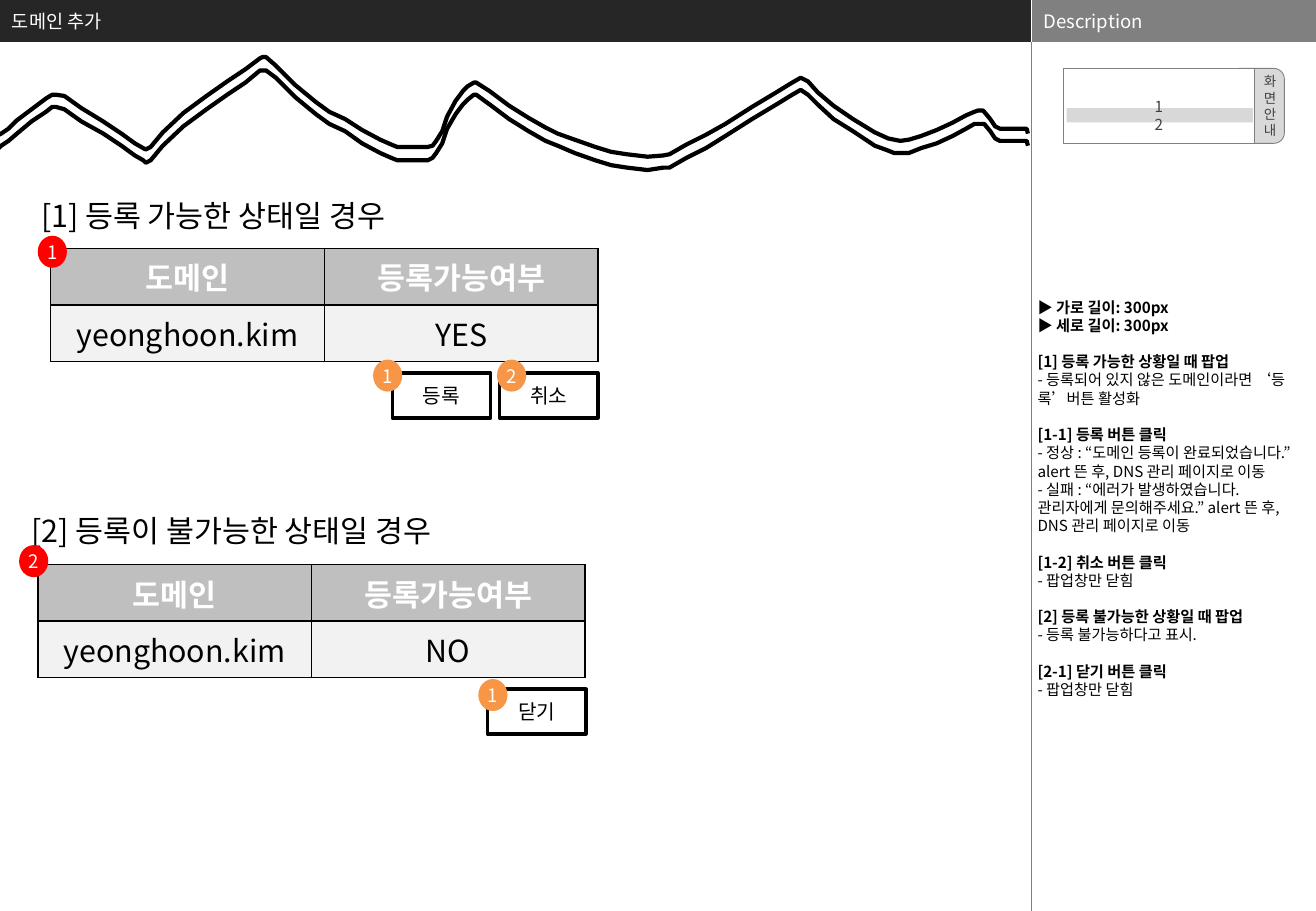
from pptx import Presentation
from pptx import util as u
from pptx.dml.color import RGBColor
from pptx.enum import shapes, text
from pptx.oxml.ns import qn
from lxml import etree

FONT = "Noto Sans CJK KR"
BLACK = RGBColor(0, 0, 0)
WHITE = RGBColor(0xFF, 0xFF, 0xFF)
DARK = RGBColor(0x26, 0x26, 0x26)
INK = RGBColor(0x40, 0x40, 0x40)
GRAY = RGBColor(0x80, 0x80, 0x80)
SILVER = RGBColor(0xBF, 0xBF, 0xBF)
LIGHT = RGBColor(0xD9, 0xD9, 0xD9)
PALE = RGBColor(0xF2, 0xF2, 0xF2)
RED = RGBColor(0xFF, 0, 0)
ORANGE = RGBColor(0xF7, 0x96, 0x46)
RECT = shapes.MSO_SHAPE.RECTANGLE
OVAL = shapes.MSO_SHAPE.OVAL
LEFT, MID, RIGHT = text.PP_ALIGN.LEFT, text.PP_ALIGN.CENTER, text.PP_ALIGN.RIGHT
CENTER = text.MSO_ANCHOR.MIDDLE

prs = Presentation()
prs.slide_width, prs.slide_height = u.Cm(27.51), u.Cm(19.05)
slide = prs.slides.add_slide(prs.slide_layouts[6])
items = slide.shapes


def box(kind, x, y, w, h, fill=None, line=None, width=0.5):
    shape = items.add_shape(kind, u.Cm(x), u.Cm(y), u.Cm(w), u.Cm(h))
    shape.shadow.inherit = False
    if fill is None:
        shape.fill.background()
    else:
        shape.fill.solid()
        shape.fill.fore_color.rgb = fill
    if line is None:
        shape.line.fill.background()
    else:
        shape.line.color.rgb = line
        shape.line.width = u.Pt(width)
    return shape


def write(frame, rows, size, color, align=LEFT, bold=False, pitch=None, pads=None, wrap=True):
    frame.word_wrap = wrap
    if pads:
        (frame.margin_left, frame.margin_top,
         frame.margin_right, frame.margin_bottom) = [u.Cm(pad) for pad in pads]
    for i, row in enumerate(rows):
        para = frame.paragraphs[0] if i == 0 else frame.add_paragraph()
        para.alignment = align
        if pitch:
            para.line_spacing = u.Pt(pitch)
        run = para.add_run()
        run.text = row
        run.font.size = u.Pt(size)
        run.font.bold = bold
        run.font.color.rgb = color
        run.font.name = FONT
        etree.SubElement(run.font._element, qn("a:ea")).set("typeface", FONT)


SIDE = 21.56
for x, w, fill, label in [(0, SIDE, DARK, "도메인 추가"), (SIDE, 5.95, GRAY, "Description")]:
    bar = box(RECT, x, 0, w, 0.88, fill)
    bar.text_frame.vertical_anchor = CENTER
    write(bar.text_frame, [label], 11, WHITE)

for top, end, color in [(0, 0.88, WHITE), (0.88, 19.05, GRAY)]:
    rule = items.add_connector(shapes.MSO_CONNECTOR.STRAIGHT,
                               u.Cm(SIDE), u.Cm(top), u.Cm(SIDE), u.Cm(end))
    rule.line.color.rgb = color
    rule.line.width = u.Pt(0.25)
    etree.SubElement(rule._element.spPr, qn("a:effectLst"))

notes = [
    ("[1] 등록 가능한 상황일 때 팝업", ["- 등록되어 있지 않은 도메인이라면 ‘등록’버튼 활성화"]),
    ("[1-1] 등록 버튼 클릭", [
        "- 정상 : “도메인 등록이 완료되었습니다.” alert 뜬 후, DNS 관리 페이지로 이동",
        "- 실패 : “에러가 발생하였습니다. 관리자에게 문의해주세요.” alert 뜬 후, DNS 관리 페이지로 이동"]),
    ("[1-2] 취소 버튼 클릭", ["- 팝업창만 닫힘"]),
    ("[2] 등록 불가능한 상황일 때 팝업", ["- 등록 불가능하다고 표시."]),
    ("[2-1] 닫기 버튼 클릭", ["- 팝업창만 닫힘"]),
]
rows = ["▶ 가로 길이: 300px", "▶ 세로 길이: 300px"]
heads = []
for head, lines in notes:
    heads.append(len(rows))
    rows += [head] + lines
guide = items.add_textbox(u.Cm(21.59), u.Cm(6.23), u.Cm(5.92), u.Cm(12.8)).text_frame
write(guide, rows, 9, BLACK, pitch=10.8, pads=(0.1, 0, 0.1, 0))
for i, para in enumerate(guide.paragraphs):
    para.runs[0].font.bold = i < 2 or i in heads
    if i in heads:
        para.space_before = u.Pt(10.8)

WAVE = [
    (-1, 111), (1, 110), (7, 106), (14, 99), (26, 90), (38, 81), (43, 78), (46, 78),
    (53, 79), (67, 89), (85, 100), (100, 110), (111, 118), (118, 122), (120, 123),
    (124, 121), (134, 109), (151, 93), (170, 79), (187, 67), (202, 57), (214, 48),
    (216, 47), (219, 47), (227, 54), (243, 70), (260, 84), (271, 92), (284, 98),
    (298, 107), (313, 115), (322, 119), (327, 121), (352, 121), (356, 120), (359, 116),
    (364, 108), (368, 96), (375, 83), (381, 75), (385, 71), (390, 68), (392, 68),
    (403, 75), (419, 87), (435, 97), (449, 105), (459, 110), (473, 115), (490, 121),
    (503, 125), (516, 127), (533, 129), (546, 128), (551, 127), (565, 119), (581, 111),
    (597, 102), (619, 88), (639, 76), (652, 68), (659, 64), (665, 67), (673, 76),
    (686, 87), (702, 98), (720, 109), (731, 114), (736, 115), (741, 116), (748, 115),
    (758, 112), (771, 107), (784, 101), (795, 95), (802, 92), (805, 91), (809, 91),
    (810, 92), (815, 98), (819, 104), (823, 106), (831, 106), (845, 106), (846, 110),
]
for drop in (10.5, 0):
    pts = [(x, y + drop) for x, y in WAVE]
    pen = items.build_freeform(*pts[0], scale=u.Cm(2.54) / 100)
    pen.add_line_segments(pts[1:], close=False)
    wave = pen.convert_to_shape()
    wave.shadow.inherit = False
    wave.fill.background()
    wave.line.color.rgb = BLACK
    wave.line.width = u.Pt(2.5)

tab = box(shapes.MSO_SHAPE.ROUNDED_RECTANGLE, 25.68, 1.43, 1.17, 1.57, LIGHT, GRAY)
tab.adjustments[0] = 0.19
tab.text_frame.vertical_anchor = CENTER
write(tab.text_frame, "화면안내", 8, INK, RIGHT, pitch=9.6, pads=(0, 0, 0.1, 0), wrap=False)
panel = box(RECT, 22.23, 1.43, 3.99, 1.57, WHITE, GRAY)
panel.text_frame.vertical_anchor = CENTER
write(panel.text_frame, "12", 9, INK, MID, pitch=10.8, pads=(0.1, 0.5, 0.1, 0.1), wrap=False)
band = box(RECT, 22.3, 2.26, 3.89, 0.3, INK)
tint = band.fill._xPr.find(qn("a:solidFill"))[0]
etree.SubElement(tint, qn("a:alpha")).set("val", "20000")

cases = [
    (1.06, 5.2, "YES", [(8.2, "등록"), (10.44, "취소")]),
    (0.79, 11.81, "NO", [(10.19, "닫기")]),
]
for left, top, state, keys in cases:
    grid = items.add_table(2, 2, u.Cm(left), u.Cm(top), u.Cm(11.44), u.Cm(2.36)).table
    for i, row in enumerate([("도메인", "등록가능여부"), ("yeonghoon.kim", state)]):
        grid.rows[i].height = u.Cm(1.18)
        grid.columns[i].width = u.Cm(5.72)
        for j, label in enumerate(row):
            cell = grid.cell(i, j)
            write(cell.text_frame, [label], 18, (WHITE, BLACK)[i], MID, bold=i == 0)
            props = cell._tc.get_or_add_tcPr()
            for side in ("lnL", "lnR", "lnT", "lnB"):
                edge = etree.SubElement(props, qn("a:" + side), w="12700")
                fill = etree.SubElement(edge, qn("a:solidFill"))
                etree.SubElement(fill, qn("a:srgbClr"), val=str(BLACK))
            cell.fill.solid()
            cell.fill.fore_color.rgb = (SILVER, PALE)[i]
    for x, label in keys:
        key = box(RECT, x, top + 2.6, 2.06, 0.94, line=BLACK, width=2)
        key.text_frame.vertical_anchor = CENTER
        write(key.text_frame, [label], 12, BLACK, MID)

for x, y, label in [(0.61, 3.99, "[1] 등록 가능한 상태일 경우"),
                    (0.41, 10.59, "[2] 등록이 불가능한 상태일 경우")]:
    title = items.add_textbox(u.Cm(x), u.Cm(y), u.Cm(9.8), u.Cm(2.08))
    write(title.text_frame, [label], 18, BLACK)

for x, y, label, fill in [(0.79, 4.93, "1", RED), (0.4, 11.4, "2", RED),
                          (7.8, 7.52, "1", ORANGE), (10.39, 7.52, "2", ORANGE),
                          (10, 14.2, "1", ORANGE)]:
    badge = box(OVAL, x, y, 0.61, 0.67, fill)
    badge.text_frame.vertical_anchor = CENTER
    write(badge.text_frame, [label], 11, WHITE, MID, pads=(0, 0, 0, 0), wrap=False)

prs.save("out.pptx")
